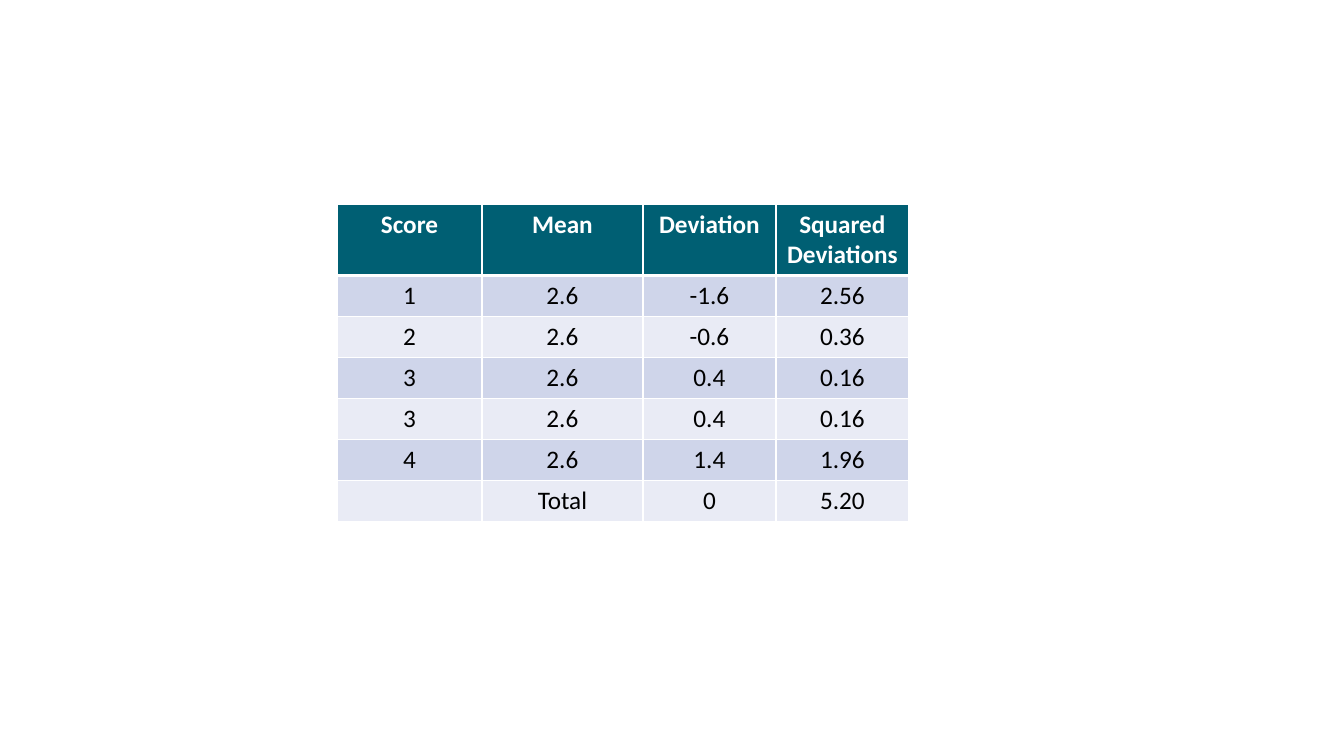
from dataclasses import dataclass

from lxml import etree
from pptx import Presentation
from pptx.dml.color import RGBColor
from pptx.enum.text import PP_ALIGN
from pptx.oxml.ns import qn
from pptx.util import Pt

CENTER = PP_ALIGN.CENTER
SCALE = 12192000 / 1344  # EMU per px


@dataclass(frozen=True)
class Theme:
    font: str = "Calibri"
    size: int = 18
    head: str = "005F73"
    bands: tuple = ("CFD5EA", "E9EBF5")
    light: str = "FFFFFF"
    dark: str = "000000"
    thin: int = 1
    thick: int = 3


theme = Theme()


def px(n):
    return round(n * SCALE)


def write(cell, text, color, bold=False):
    para = cell.text_frame.paragraphs[0]
    para.alignment = CENTER
    para.font.size = Pt(theme.size)
    if not text:
        return
    run = para.add_run()
    run.text = text
    font = run.font
    font.name, font.size, font.bold = theme.font, Pt(theme.size), bold
    font.color.rgb = RGBColor.from_string(color)


rows = [
    ("Score", "Mean", "Deviation", "Squared Deviations"),
    ("1", "2.6", "-1.6", "2.56"),
    ("2", "2.6", "-0.6", "0.36"),
    ("3", "2.6", "0.4", "0.16"),
    ("3", "2.6", "0.4", "0.16"),
    ("4", "2.6", "1.4", "1.96"),
    ("", "Total", "0", "5.20"),
]
widths = (145, 161, 133, 133)
heights = [71] + [41] * (len(rows) - 1)

deck = Presentation()
deck.slide_width, deck.slide_height = px(1344), px(756)
slide = deck.slides.add_slide(deck.slide_layouts[6])

table = slide.shapes.add_table(
    len(rows), len(widths), px(337), px(204), px(sum(widths)), px(sum(heights))
).table
for col, width in zip(table.columns, widths):
    col.width = px(width)

for r, (row, height) in enumerate(zip(rows, heights)):
    table.rows[r].height = px(height)
    head = r == 0
    fill = theme.head if head else theme.bands[(r - 1) % 2]
    edges = {
        "L": theme.thin,
        "R": theme.thin,
        "T": theme.thick if r == 1 else theme.thin,
        "B": theme.thick if head else theme.thin,
    }
    for c, text in enumerate(row):
        cell = table.cell(r, c)
        write(cell, text, theme.light if head else theme.dark, bold=head)
        props = cell._tc.get_or_add_tcPr()
        for side, weight in edges.items():
            line = etree.SubElement(props, qn(f"a:ln{side}"), w=str(Pt(weight)))
            paint = etree.SubElement(line, qn("a:solidFill"))
            etree.SubElement(paint, qn("a:srgbClr"), val=theme.light)
        cell.fill.solid()
        cell.fill.fore_color.rgb = RGBColor.from_string(fill)

deck.save("out.pptx")
